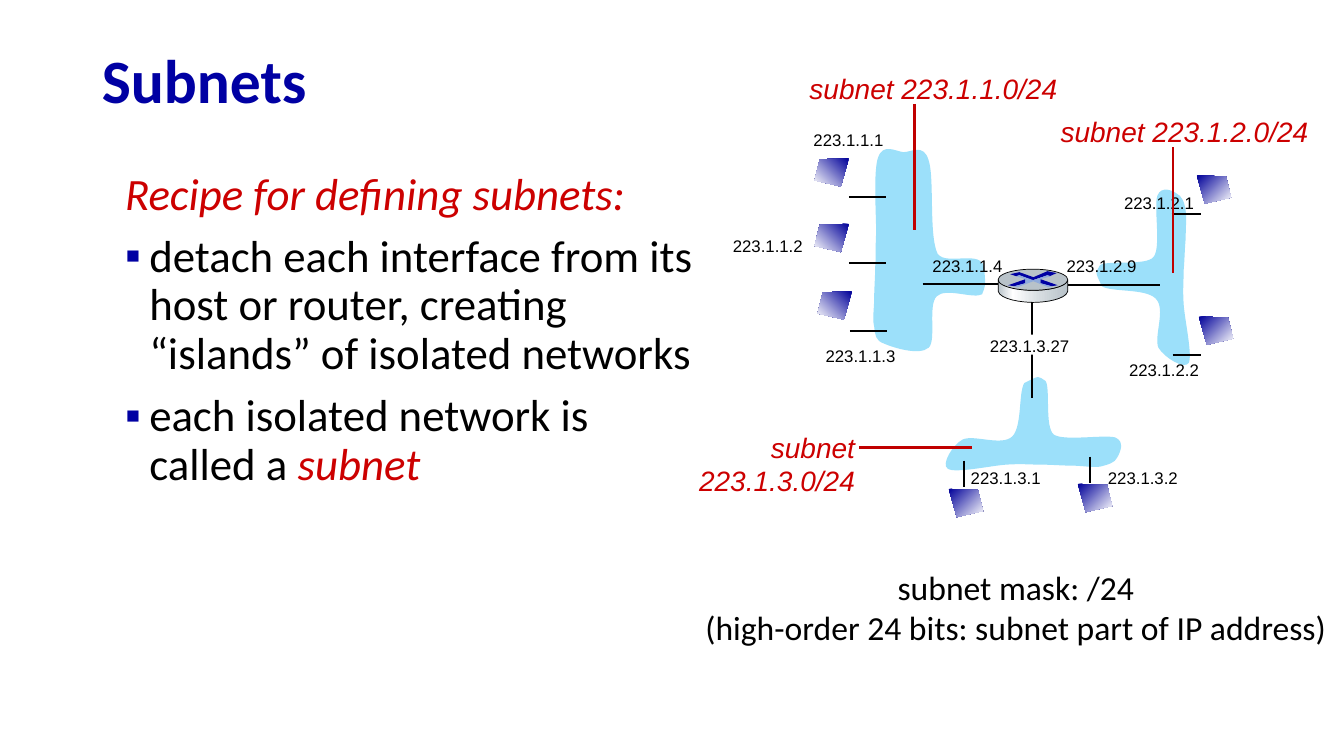
from lxml.etree import SubElement
from pptx import Presentation
from pptx.dml.color import RGBColor
from pptx.enum.shapes import MSO_CONNECTOR, MSO_SHAPE
from pptx.enum.text import MSO_ANCHOR, MSO_AUTO_SIZE, PP_ALIGN
from pptx.oxml.ns import qn
from pptx.util import Inches, Pt

HUES = {
    "navy": "0000A3", "red": "CC0000", "rule": "C00000", "black": "000000",
    "white": "FFFFFF", "cloud": "9CE0FA", "host": "000099", "steel": "B8C2C9",
    "shine": "D6DCE0", "inlay": "8FAADC",
}

# Outlines: a start point, then pairs for straight edges and sixes for curves.
CLOUDS = [
    [(10.16, 3.8), (10.1, 3.89, 10.14, 4.23, 10.04, 4.33),
     (9.94, 4.43, 9.66, 4.31, 9.55, 4.36), (9.45, 4.41, 9.33, 4.61, 9.4, 4.65),
     (9.47, 4.7, 9.83, 4.62, 9.98, 4.61), (10.13, 4.6, 10.21, 4.61, 10.32, 4.61),
     (10.43, 4.61, 10.53, 4.62, 10.63, 4.62), (10.72, 4.62, 10.84, 4.64, 10.91, 4.63),
     (10.99, 4.61, 11.06, 4.59, 11.08, 4.54), (11.11, 4.49, 11.16, 4.38, 11.06, 4.34),
     (10.95, 4.31, 10.54, 4.38, 10.45, 4.31), (10.36, 4.23, 10.42, 3.85, 10.37, 3.78),
     (10.29, 3.73, 10.32, 3.72, 10.16, 3.8)],
    [(10.93, 2.84), (11.02, 2.9, 11.36, 2.86, 11.46, 2.96),
     (11.57, 3.06, 11.44, 3.34, 11.49, 3.45), (11.55, 3.55, 11.75, 3.67, 11.79, 3.6),
     (11.83, 3.53, 11.75, 3.17, 11.74, 3.02), (11.73, 2.87, 11.74, 2.79, 11.74, 2.68),
     (11.75, 2.57, 11.75, 2.47, 11.76, 2.37), (11.76, 2.27, 11.77, 2.16, 11.76, 2.09),
     (11.75, 2.01, 11.72, 1.94, 11.67, 1.92), (11.63, 1.89, 11.52, 1.84, 11.48, 1.94),
     (11.44, 2.05, 11.52, 2.46, 11.44, 2.55), (11.37, 2.64, 10.98, 2.58, 10.91, 2.63),
     (10.87, 2.71, 10.85, 2.68, 10.93, 2.84)],
    [(9.76, 2.66), (9.74, 2.47, 9.39, 2.64, 9.3, 2.52),
     (9.21, 2.34, 9.27, 1.76, 9.21, 1.59), (9.16, 1.42, 9.04, 1.51, 8.96, 1.51),
     (8.88, 1.5, 8.76, 1.42, 8.71, 1.56), (8.66, 1.69, 8.69, 2.13, 8.69, 2.31),
     (8.68, 2.49, 8.69, 2.54, 8.68, 2.65), (8.68, 2.76, 8.67, 2.86, 8.67, 2.96),
     (8.67, 3.06, 8.65, 3.17, 8.67, 3.24), (8.68, 3.32, 8.68, 3.38, 8.77, 3.41),
     (8.86, 3.45, 9.12, 3.53, 9.21, 3.45), (9.29, 3.38, 9.2, 3.03, 9.29, 2.94),
     (9.38, 2.85, 9.66, 2.97, 9.74, 2.92), (9.77, 2.84, 9.78, 2.85, 9.76, 2.66)],
]
WALL = [(10.59, 2.78), (10.59, 2.89), (10.57, 2.97, 10.37, 3, 10.25, 3),
        (10.13, 3, 9.92, 2.97, 9.9, 2.89), (9.9, 2.78),
        (9.93, 2.85, 10.13, 2.88, 10.25, 2.88), (10.36, 2.88, 10.56, 2.86, 10.59, 2.78)]
MARKS = [
    [(10.39, 2.69), (10.48, 2.71), (10.41, 2.74), (10.39, 2.73), (10.24, 2.78),
     (10.11, 2.73), (10.08, 2.74), (10.02, 2.72), (10.11, 2.7), (10.25, 2.75)],
    [(10.32, 2.77), (10.49, 2.83), (10.43, 2.84), (10.32, 2.81)],
    [(10.17, 2.77), (10.17, 2.81), (10.06, 2.84), (10, 2.83)],
]
CROSS = [(10.08, 2.74), (10.11, 2.73), (10.25, 2.78), (10.39, 2.73), (10.42, 2.74),
         (10.32, 2.77), (10.32, 2.81), (10.43, 2.84), (10.4, 2.85), (10.25, 2.79),
         (10.09, 2.85), (10.06, 2.84), (10.17, 2.81), (10.17, 2.77)]

WIRES = [
    (10.24, 2.99, 10.24, 3.95), (8.42, 1.95, 8.79, 1.95), (8.42, 2.61, 8.79, 2.61),
    (8.43, 3.28, 8.8, 3.28), (11.62, 2.12, 11.91, 2.12), (11.63, 3.52, 11.91, 3.52),
    (9.56, 4.57, 9.56, 4.83), (10.81, 4.53, 10.81, 4.79), (9.15, 2.82, 10.02, 2.82),
    (10.44, 2.83, 11.51, 2.83),
]
MASKS = [(7.27, 2.37, 0.91, 0.2), (9.78, 3.32, 0.93, 0.2)]
HOSTS = {
    "left": [(8.08, 1.57), (8.08, 2.22), (8.11, 2.89)],
    "right": [(11.87, 1.74), (11.89, 3.14), (10.69, 4.8), (9.41, 4.85)],
}
IPS = [
    ("223.1.1.1", 7.97, 1.24), ("223.1.1.2", 7.17, 2.29), ("223.1.1.3", 8.09, 3.38),
    ("223.1.1.4", 9.15, 2.49), ("223.1.2.9", 10.48, 2.49), ("223.1.2.2", 11.1, 3.52),
    ("223.1.2.1", 11.05, 1.86), ("223.1.3.2", 10.89, 4.59), ("223.1.3.1", 9.53, 4.59),
    ("223.1.3.27", 9.72, 3.28),
]


def color(name):
    return RGBColor.from_string(HUES[name])


def style(font, name, size, hue, bold=False, italic=False):
    font.name, font.size = name, Pt(size)
    font.bold, font.italic = bold, italic
    font.color.rgb = color(hue)


def paint(shape, fill=None, line=None):
    shape.shadow.inherit = False
    if fill:
        shape.fill.solid()
        shape.fill.fore_color.rgb = color(fill)
    if line:
        shape.line.color.rgb = color(line)
        shape.line.width = Pt(0.5)
    else:
        shape.line.fill.background()


def shade(shape, stops, angle):
    """Fill with a gradient of (percent, hue) stops."""
    shape.fill.gradient()
    shape.fill.gradient_angle = angle
    ramp = shape._element.spPr.find(qn("a:gradFill")).find(qn("a:gsLst"))
    for old in list(ramp):
        ramp.remove(old)
    for part, hue in stops:
        stop = SubElement(ramp, qn("a:gs"), pos=str(part * 1000))
        SubElement(stop, qn("a:srgbClr"), val=HUES[hue])


def bend(shape, edges):
    """Turn the straight edges that have handles into curves."""
    for edge, node in zip(edges, list(shape._element.iter(qn("a:lnTo")))):
        if len(edge) == 2:
            continue
        curve = SubElement(node.getparent(), qn("a:cubicBezTo"))
        for x, y in zip(edge[::2], edge[1::2]):
            SubElement(curve, qn("a:pt"), x=str(Inches(x) - shape.left),
                       y=str(Inches(y) - shape.top))
        node.getparent().replace(node, curve)


def blob(slide, outline, fill=None, line=None):
    dots = [(Inches(edge[-2]), Inches(edge[-1])) for edge in outline]
    pen = slide.shapes.build_freeform(*dots[0])
    pen.add_line_segments(dots[1:], close=True)
    shape = pen.convert_to_shape()
    bend(shape, outline[1:])
    paint(shape, fill, line)
    return shape


def wire(slide, ends, hue="black"):
    line = slide.shapes.add_connector(MSO_CONNECTOR.STRAIGHT, *map(Inches, ends))
    line.line.color.rgb = color(hue)
    line.line.width = Pt(1.5)
    SubElement(line._element.spPr, qn("a:effectLst"))


def label(slide, lines, box, name, size, hue, italic=False, align=PP_ALIGN.LEFT):
    frame = slide.shapes.add_textbox(*map(Inches, box)).text_frame
    frame.word_wrap = False
    frame.auto_size = MSO_AUTO_SIZE.SHAPE_TO_FIT_TEXT
    frame.text = "\n".join(lines)
    for para in frame.paragraphs:
        para.alignment = align
        style(para.font, name, size, hue, italic=italic)


def place(shape, box):
    shape.left, shape.top, shape.width, shape.height = map(Inches, box)
    shape.text_frame.word_wrap = True
    shape.text_frame.auto_size = MSO_AUTO_SIZE.NONE


def host(slide, left, top, side):
    corners = [(0, 0), (0.29, 0.01), (0.34, 0.22), (0.08, 0.28)]
    if side == "left":
        corners = [(0.34 - x, y) for x, y in corners]
    shape = blob(slide, [(left + x, top + y) for x, y in corners])
    shade(shape, [(0, "host"), (100, "white")], 225 if side == "left" else 315)


def router(slide):
    wall = blob(slide, WALL, line="black")
    shade(wall, [(0, "steel"), (21, "white"), (60, "shine"), (100, "steel")], 0)
    lid = slide.shapes.add_shape(
        MSO_SHAPE.OVAL, *map(Inches, (9.9, 2.67, 0.69, 0.21)))
    paint(lid, "steel", "black")
    for mark in MARKS:
        blob(slide, mark, "navy")
    blob(slide, CROSS, "inlay")


def recipe(body):
    place(body, (0.99, 1.65, 6.02, 5.45))
    frame = body.text_frame
    frame.text = ("Recipe for defining subnets:\n"
                  "detach each interface from its host or router, creating "
                  "“islands” of isolated networks\n"
                  "each isolated network is called a ")
    for rank, para in enumerate(frame.paragraphs):
        para.line_spacing = 0.9
        para.space_before = Pt(10 if rank else 0)
        props = para._p.get_or_add_pPr()
        props.set("marL", str(Inches(0.39)))
        props.set("indent", str(Inches(-0.24)))
        if rank:
            tint = SubElement(props, qn("a:buClr"))
            SubElement(tint, qn("a:srgbClr"), val=HUES["navy"])
            SubElement(props, qn("a:buChar"), char="▪")
        else:
            SubElement(props, qn("a:buNone"))
        style(para.font, "Calibri", 32, "black" if rank else "red", italic=not rank)
    term = frame.paragraphs[-1].add_run()
    term.text = "subnet"
    term.font.italic = True
    term.font.color.rgb = color("red")


def main():
    deck = Presentation()
    deck.slide_width, deck.slide_height = Inches(13.33), Inches(7.5)
    slide = deck.slides.add_slide(deck.slide_layouts[1])

    title = slide.shapes.title
    place(title, (0.91, 0.34, 11.5, 0.98))
    title.text_frame.text = "Subnets"
    title.text_frame.vertical_anchor = MSO_ANCHOR.MIDDLE
    head = title.text_frame.paragraphs[0]
    head.alignment, head.line_spacing = PP_ALIGN.LEFT, 0.9
    style(head.font, "Calibri", 44, "navy", bold=True)
    recipe(slide.placeholders[1])

    for cloud in CLOUDS:
        blob(slide, cloud, "cloud")
    for ends in WIRES:
        wire(slide, ends)
    for box in MASKS:
        paint(slide.shapes.add_shape(MSO_SHAPE.RECTANGLE, *map(Inches, box)), "white")
    for text, left, top in IPS:
        label(slide, [text], (left, top, len(text) * 0.1, 0.3), "Arial", 12, "black")
    for side, spots in HOSTS.items():
        for left, top in spots:
            host(slide, left, top, side)
    router(slide)

    label(slide, ["subnet mask: /24", "(high-order 24 bits: subnet part of IP address)"],
          (6.87, 5.57, 6.41, 0.91), "Calibri", 24, "black", align=PP_ALIGN.CENTER)
    label(slide, ["subnet", "223.1.3.0/24"], (6.82, 4.22, 1.76, 0.77),
          "Arial", 20, "red", True, PP_ALIGN.RIGHT)
    wire(slide, (8.52, 4.44, 9.64, 4.44), "rule")
    for net, left, top, stem in (("223.1.1.0/24", 7.93, 0.66, 9.07),
                                 ("223.1.2.0/24", 10.42, 1.09, 11.63)):
        label(slide, [f"subnet {net}"], (left, top, 2.72, 0.44), "Arial", 20, "red", True)
        wire(slide, (stem, top + 0.37, stem, top + 1.62), "rule")
    deck.save("out.pptx")


if __name__ == "__main__":
    main()
